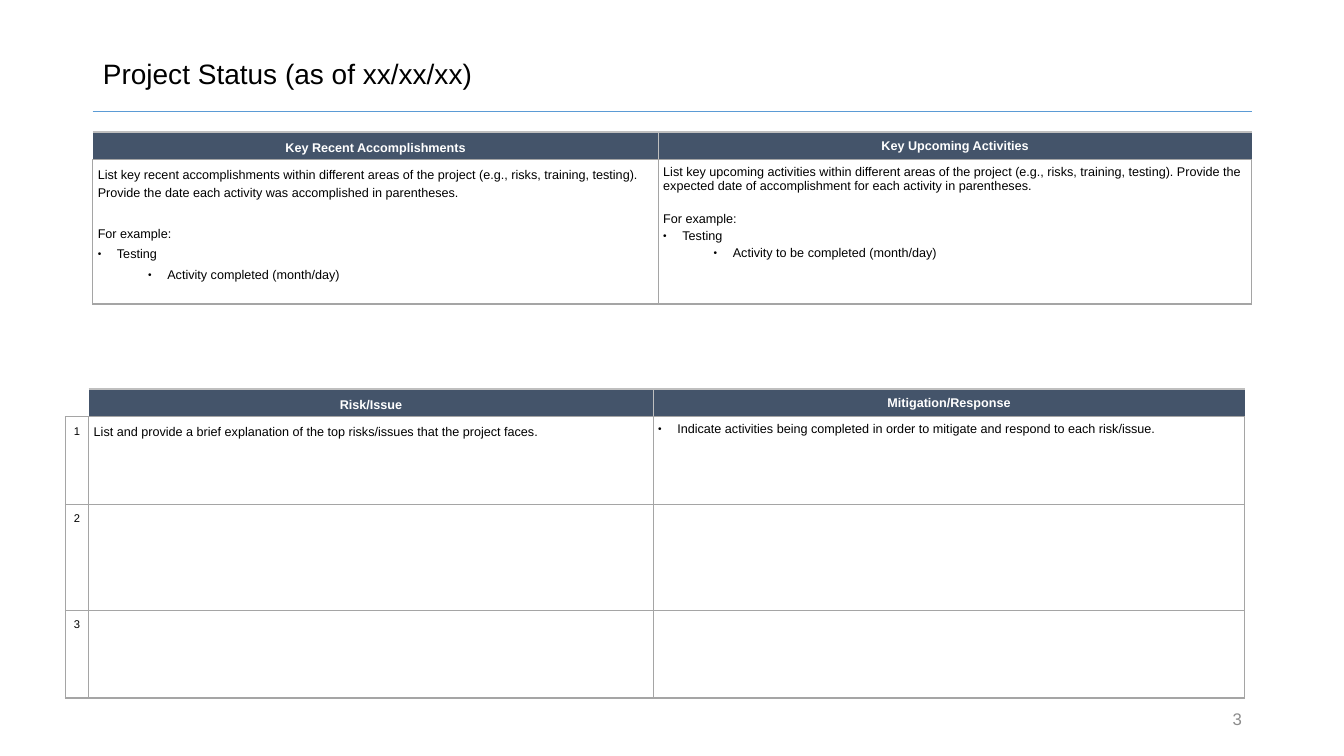
from lxml import etree
from pptx import Presentation
from pptx.dml.color import RGBColor
from pptx.enum.shapes import MSO_CONNECTOR
from pptx.enum.text import MSO_ANCHOR, PP_ALIGN
from pptx.oxml.ns import qn
from pptx.util import Inches, Pt

LEFT, CENTER, RIGHT = PP_ALIGN.LEFT, PP_ALIGN.CENTER, PP_ALIGN.RIGHT
TOP, MIDDLE = MSO_ANCHOR.TOP, MSO_ANCHOR.MIDDLE
NAVY, GRAY, LIGHT = "44546A", "A5A5A5", "BFBFBF"
BULLET, SUB_BULLET = 0.19, 0.69  # text indents in inches


def style(run, size, color, bold=False):
    run.font.name = "Arial"
    run.font.size = Pt(size)
    run.font.bold = bold
    run.font.color.rgb = RGBColor.from_string(color)


def add_xml(parent, tag, **attributes):
    return etree.SubElement(parent, qn(tag), attributes)


# Widescreen slide, 16:9
prs = Presentation()
prs.slide_height = Inches(7.5)
prs.slide_width = prs.slide_height * 16 // 9
s = prs.slides.add_slide(prs.slide_layouts[5])

# Title and rule
title = s.shapes.title
title.left, title.top = Inches(0.92), Inches(0.4)
title.width, title.height = Inches(11.5), Inches(0.69)
tf = title.text_frame
tf.text = "Project Status (as of xx/xx/xx)"
tf.vertical_anchor = MIDDLE
p = tf.paragraphs[0]
p.alignment, p.line_spacing = LEFT, 0.9
style(p.runs[0], 20, "000000")

rule = s.shapes.add_connector(MSO_CONNECTOR.STRAIGHT, Inches(0.92), Inches(1.1),
                              Inches(12.42), Inches(1.1))
rule.line.color.rgb = RGBColor.from_string("5B9BD5")
rule.line.width = Pt(0.5)
add_xml(rule._element.spPr, "a:effectLst")
rule._element.remove(rule._element.find(qn("p:style")))

# Table contents: each cell is a list of (text, bullet indent)
risks = [
    [[], [("Risk/Issue", 0)], [("Mitigation/Response", 0)]],
    [[("1", 0)],
     [("List and provide a brief explanation of the top risks/issues that the project faces.", 0)],
     [("Indicate activities being completed in order to mitigate and respond to each "
       "risk/issue.", BULLET)]],
    [[("2", 0)], [], []],
    [[("3", 0)], [], []],
]
activities = [
    [[("Key Recent Accomplishments", 0)], [("Key Upcoming Activities", 0)]],
    [[("List key recent accomplishments within different areas of the project (e.g., risks, "
       "training, testing). Provide the date each activity was accomplished in parentheses.", 0),
      ("For example:", 0), ("Testing", BULLET),
      ("Activity completed (month/day)", SUB_BULLET)],
     [("List key upcoming activities within different areas of the project (e.g., risks, "
       "training, testing). Provide the expected date of accomplishment for each activity "
       "in parentheses.", 0),
      ("For example:", 0), ("Testing", BULLET),
      ("Activity to be completed (month/day)", SUB_BULLET)]],
]
tables = [
    (0.65, 3.86, [0.23, 5.6, 5.87], [0.27, 0.87, 1.05, 0.87], risks),
    (0.92, 1.31, [5.61, 5.89], [0.27, 1.43], activities),
]

for left, top, widths, heights, rows in tables:
    table = s.shapes.add_table(len(rows), len(widths), Inches(left), Inches(top),
                               Inches(sum(widths)), Inches(sum(heights))).table
    table.first_row = table.horz_banding = False
    for column, width in zip(table.columns, widths):
        column.width = Inches(width)
    for row, height in zip(table.rows, heights):
        row.height = Inches(height)

    last = len(widths) - 1
    for i, row in enumerate(rows):
        for j, content in enumerate(row):
            cell = table.cell(i, j)
            header = i == 0 and bool(content)
            number = len(widths) == 3 and j == 0
            cell.margin_left = cell.margin_right = Inches(0.05)
            cell.margin_top = cell.margin_bottom = Inches(0.05)
            cell.vertical_anchor = MIDDLE if header else TOP

            # Borders, then fill
            borders = dict.fromkeys("LRTB", GRAY)
            if header:
                borders.update(L=LIGHT if j == last else None,
                               R=None if j == last else LIGHT, T=LIGHT)
            elif i == 0:
                borders.update(L=None, R=None, T=None)
            for side, color in borders.items():
                ln = add_xml(cell._tc.get_or_add_tcPr(), "a:ln" + side, w=str(Pt(1)))
                if color:
                    add_xml(add_xml(ln, "a:solidFill"), "a:srgbClr", val=color)
                else:
                    add_xml(ln, "a:noFill")
            if header:
                cell.fill.solid()
                cell.fill.fore_color.rgb = RGBColor.from_string(NAVY)
            else:
                cell.fill.background()

            # Text: the last column is set tighter than the others
            tf = cell.text_frame
            tf.text = "\n".join(text for text, indent in content)
            if not content:
                add_xml(tf.paragraphs[0]._p, "a:endParaRPr", sz="900")
            for p, (text, indent) in zip(tf.paragraphs, content):
                p.alignment = CENTER if header or number else LEFT
                p.line_spacing = Pt(10) if j == last else 1.25
                p.space_before = Pt(2)
                if text == "For example:":
                    p.space_before = Pt(14 if j == last else 16.5)
                style(p.runs[0], 8 if number else 9, "FFFFFF" if header else "000000", header)
                if indent:
                    p.level = 1 if indent == SUB_BULLET else 0
                    pPr = p._p.get_or_add_pPr()
                    pPr.set("marL", str(Inches(indent)))
                    pPr.set("indent", str(-Inches(BULLET)))
                    add_xml(add_xml(pPr, "a:buClr"), "a:srgbClr", val="000000")
                    add_xml(pPr, "a:buSzPct", val="80000")
                    add_xml(pPr, "a:buFont", typeface="Arial")
                    add_xml(pPr, "a:buChar", char="•")

# Page number
tf = s.shapes.add_textbox(Inches(9.42), Inches(6.93), Inches(3), Inches(0.4)).text_frame
tf.word_wrap = True
tf.vertical_anchor = MIDDLE
tf.text = "3"
p = tf.paragraphs[0]
p.alignment = RIGHT
style(p.runs[0], 12, "8C8C8C")

prs.save("out.pptx")
